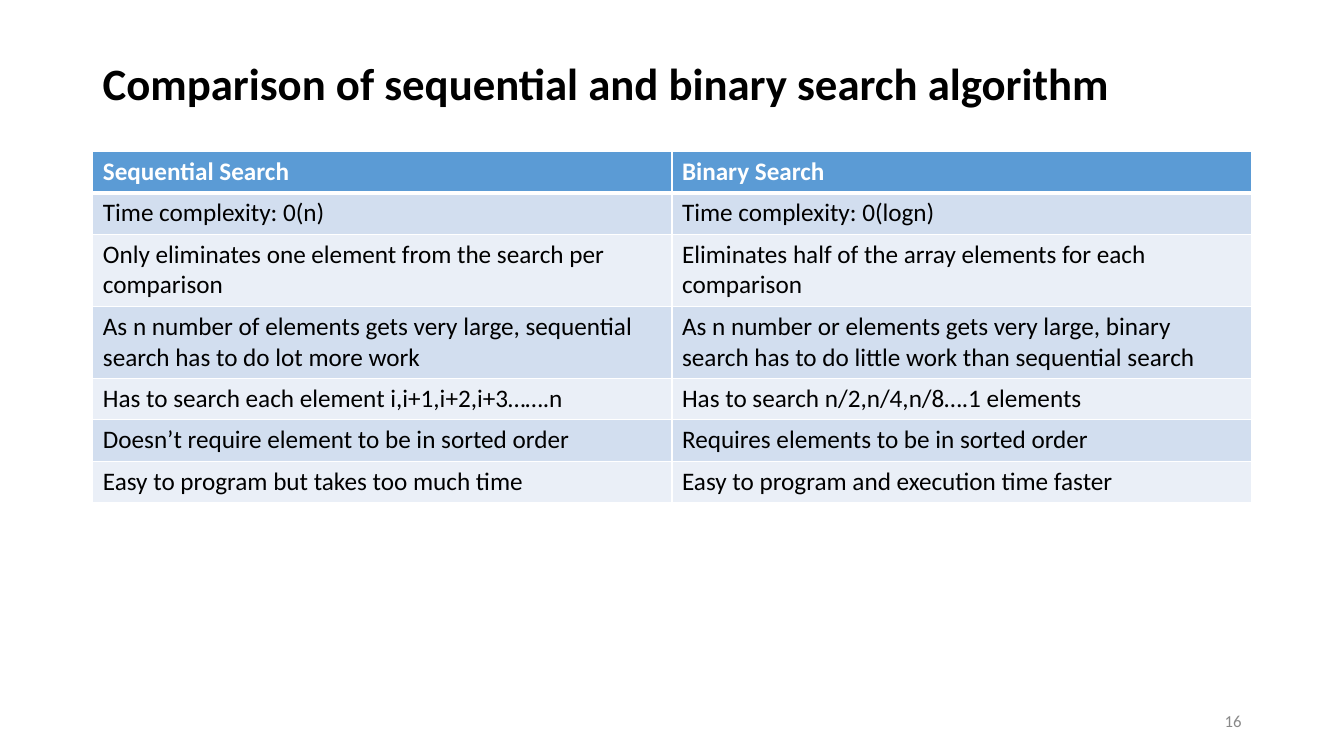
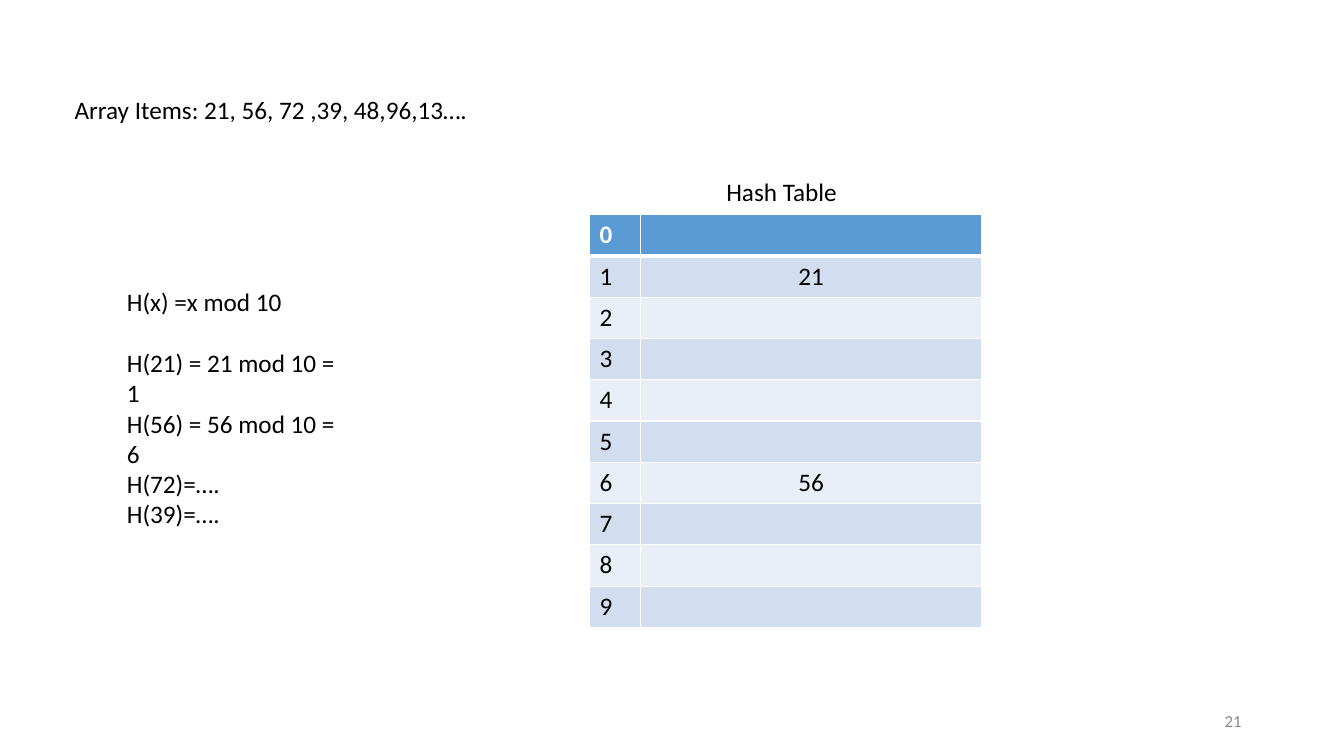
from dataclasses import dataclass

import pptx
import pptx.dml.color
import pptx.enum.text
import pptx.oxml
import pptx.oxml.ns
import pptx.presentation
import pptx.slide
import pptx.table
import pptx.text.text
import pptx.util

Cm = pptx.util.Cm
Pt = pptx.util.Pt
Align = pptx.enum.text.PP_ALIGN
Anchor = pptx.enum.text.MSO_ANCHOR


@dataclass(frozen=True)
class TextStyle:
    size: float
    color: str
    bold: bool = False


@dataclass(frozen=True)
class Theme:
    font: str = "Calibri"
    title: TextStyle = TextStyle(32, "000000", bold=True)
    body: TextStyle = TextStyle(18, "000000")
    header: TextStyle = TextStyle(18, "FFFFFF", bold=True)
    footer: TextStyle = TextStyle(12, "898989")
    header_fill: str = "5B9BD5"
    band_fills: tuple[str, str] = ("D2DEEF", "EAEFF7")
    rule_color: str = "FFFFFF"
    rule_width: float = 1
    header_rule_width: float = 3


THEME = Theme()


@dataclass(frozen=True)
class Box:
    """Place of an element, in centimetres."""
    left: float
    top: float
    width: float
    height: float


@dataclass(frozen=True)
class Grid:
    """Table content and measures; lengths in centimetres."""
    left: float
    top: float
    column_widths: tuple[float, ...]
    row_heights: tuple[float, ...]
    rows: tuple[tuple[str, ...], ...]
    alignments: tuple[Align, ...]


SLIDE_WIDTH, SLIDE_HEIGHT = 33.88, 19.05
TITLE_BOX = Box(2.34, 1.02, 30.33, 2.13)
NUMBER_BOX = Box(23.93, 17.65, 7.62, 1.02)
ONE_LINE, TWO_LINES = 1.04, 1.82
BLOCK_GAP = 22

COMPARISON = Grid(
    left=2.34,
    top=3.82,
    column_widths=(14.6, 14.6),
    row_heights=(ONE_LINE, ONE_LINE, TWO_LINES, TWO_LINES,
                 ONE_LINE, ONE_LINE, ONE_LINE),
    rows=(
        ("Sequential Search", "Binary Search"),
        ("Time complexity: 0(n)", "Time complexity: 0(logn)"),
        ("Only eliminates one element from the search per comparison",
         "Eliminates half of the array elements for each comparison"),
        ("As n number of elements gets very large, sequential search "
         "has to do lot more work",
         "As n number or elements gets very large, binary search "
         "has to do little work than sequential search"),
        ("Has to search each element i,i+1,i+2,i+3…….n",
         "Has to search n/2,n/4,n/8….1 elements"),
        ("Doesn’t require element to be in sorted order",
         "Requires elements to be in sorted order"),
        ("Easy to program but takes too much time",
         "Easy to program and execution time faster"),
    ),
    alignments=(Align.LEFT, Align.LEFT),
)

BUCKET_COUNT = 10
STORED_ITEMS = {item % BUCKET_COUNT: str(item) for item in (21, 56)}
HASH_TABLE = Grid(
    left=14.86,
    top=5.41,
    column_widths=(1.29, 8.59),
    row_heights=(ONE_LINE,) * BUCKET_COUNT,
    rows=tuple((str(bucket), STORED_ITEMS.get(bucket, ""))
               for bucket in range(BUCKET_COUNT)),
    alignments=(Align.LEFT, Align.CENTER),
)

HASH_STEPS = (
    ("H(x) =x mod 10",),
    ("H(21) = 21 mod 10 = 1", "H(56) = 56 mod 10 = 6", "H(72)=….", "H(39)=…."),
)


def rgb(value: str) -> pptx.dml.color.RGBColor:
    return pptx.dml.color.RGBColor.from_string(value)


def add_run(paragraph: pptx.text.text._Paragraph, text: str,
            style: TextStyle) -> None:
    run = paragraph.add_run()
    run.text = text
    run.font.name = THEME.font
    run.font.size = Pt(style.size)
    run.font.bold = style.bold
    run.font.color.rgb = rgb(style.color)


def add_text(slide: pptx.slide.Slide, box: Box,
             blocks: tuple[tuple[str, ...], ...], style: TextStyle,
             align: Align = Align.LEFT, anchor: Anchor = Anchor.TOP,
             wrap: bool = False) -> None:
    """Write blocks of lines, one paragraph a line, with a gap between blocks."""
    frame = slide.shapes.add_textbox(
        Cm(box.left), Cm(box.top), Cm(box.width), Cm(box.height)).text_frame
    frame.word_wrap = wrap
    frame.vertical_anchor = anchor
    paragraph = None
    for block_index, block in enumerate(blocks):
        for line_index, line in enumerate(block):
            paragraph = frame.add_paragraph() if paragraph else frame.paragraphs[0]
            paragraph.alignment = align
            if block_index and not line_index:
                paragraph.space_before = Pt(BLOCK_GAP)
            add_run(paragraph, line, style)


def set_borders(cell: pptx.table._Cell, top: float, bottom: float) -> None:
    """Rule all four sides; must run before the cell gets its fill."""
    properties = cell._tc.get_or_add_tcPr()
    side = THEME.rule_width
    for tag, width in (("lnL", side), ("lnR", side), ("lnT", top), ("lnB", bottom)):
        properties.append(pptx.oxml.parse_xml(
            f'<a:{tag} {pptx.oxml.ns.nsdecls("a")} w="{Pt(width)}">'
            f'<a:solidFill><a:srgbClr val="{THEME.rule_color}"/></a:solidFill>'
            f'</a:{tag}>'))


def add_grid(slide: pptx.slide.Slide, grid: Grid) -> None:
    table = slide.shapes.add_table(
        len(grid.rows), len(grid.column_widths), Cm(grid.left), Cm(grid.top),
        Cm(sum(grid.column_widths)), Cm(sum(grid.row_heights))).table
    table.horz_banding = False
    for column, width in zip(table.columns, grid.column_widths):
        column.width = Cm(width)
    for row_index, (row, height, texts) in enumerate(
            zip(table.rows, grid.row_heights, grid.rows)):
        row.height = Cm(height)
        is_header = row_index == 0
        style = THEME.header if is_header else THEME.body
        fill = THEME.header_fill if is_header else THEME.band_fills[(row_index - 1) % 2]
        top = THEME.header_rule_width if row_index == 1 else THEME.rule_width
        bottom = THEME.header_rule_width if is_header else THEME.rule_width
        for cell, text, align in zip(row.cells, texts, grid.alignments):
            set_borders(cell, top, bottom)
            cell.fill.solid()
            cell.fill.fore_color.rgb = rgb(fill)
            if text:
                paragraph = cell.text_frame.paragraphs[0]
                paragraph.alignment = align
                add_run(paragraph, text, style)


def add_numbered_slide(deck: pptx.presentation.Presentation,
                       number: int) -> pptx.slide.Slide:
    slide = deck.slides.add_slide(deck.slide_layouts[6])
    add_text(slide, NUMBER_BOX, ((str(number),),), THEME.footer,
             align=Align.RIGHT, anchor=Anchor.MIDDLE, wrap=True)
    return slide


def build_comparison(deck: pptx.presentation.Presentation) -> None:
    slide = add_numbered_slide(deck, 16)
    add_text(slide, TITLE_BOX,
             (("Comparison of sequential and binary search algorithm",),),
             THEME.title, anchor=Anchor.MIDDLE, wrap=True)
    add_grid(slide, COMPARISON)


def build_hashing(deck: pptx.presentation.Presentation) -> None:
    slide = add_numbered_slide(deck, 21)
    add_grid(slide, HASH_TABLE)
    add_text(slide, Box(18.06, 4.32, 3.33, 1.02), (("Hash Table",),), THEME.body)
    add_text(slide, Box(1.63, 2.26, 10.44, 1.02),
             (("Array Items: 21, 56, 72 ,39, 48,96,13….",),), THEME.body)
    add_text(slide, Box(2.95, 7.09, 6.2, 5.59), HASH_STEPS, THEME.body)


def main() -> None:
    deck = pptx.Presentation()
    deck.slide_width = Cm(SLIDE_WIDTH)
    deck.slide_height = Cm(SLIDE_HEIGHT)
    build_comparison(deck)
    build_hashing(deck)
    deck.save("out.pptx")


if __name__ == "__main__":
    main()
